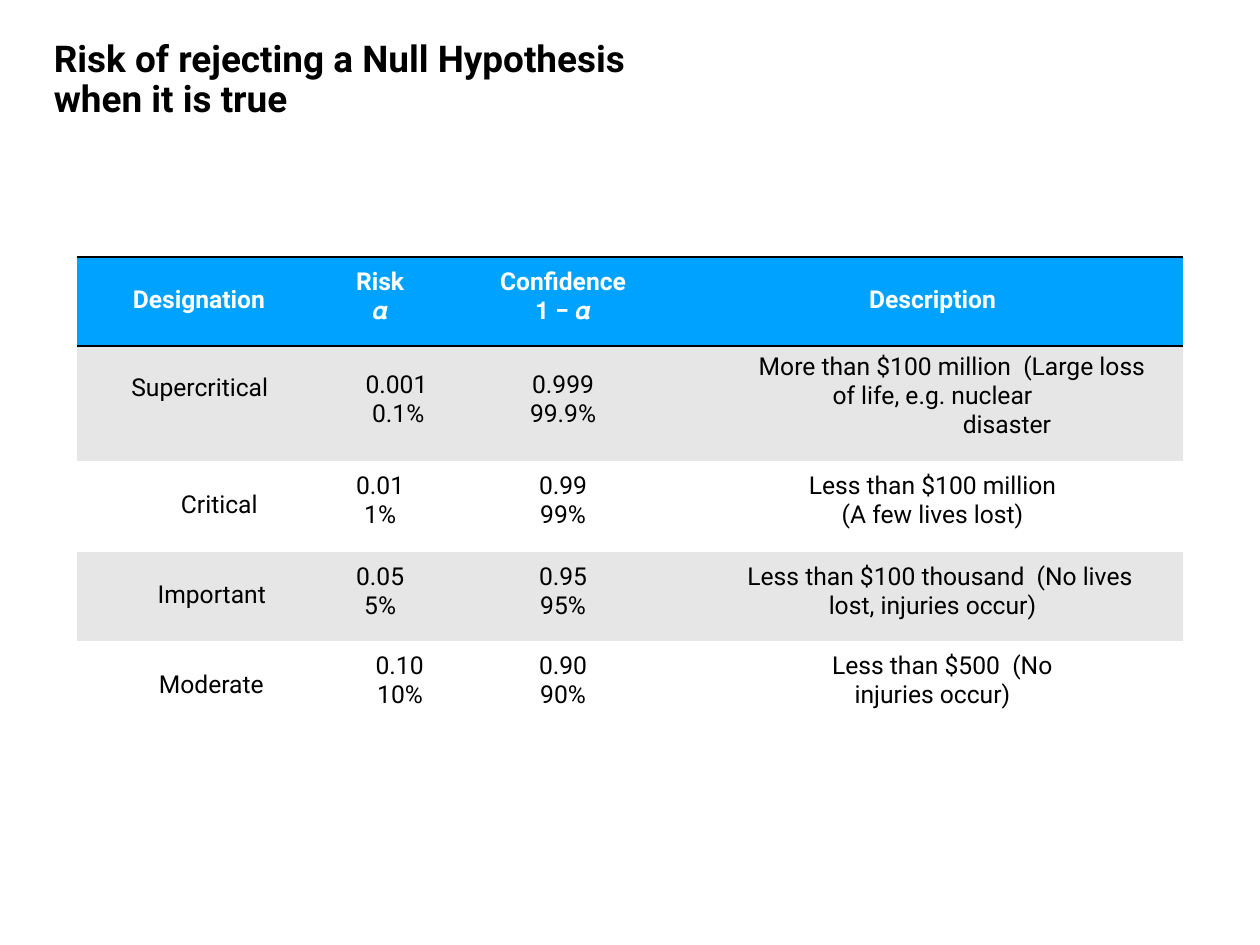
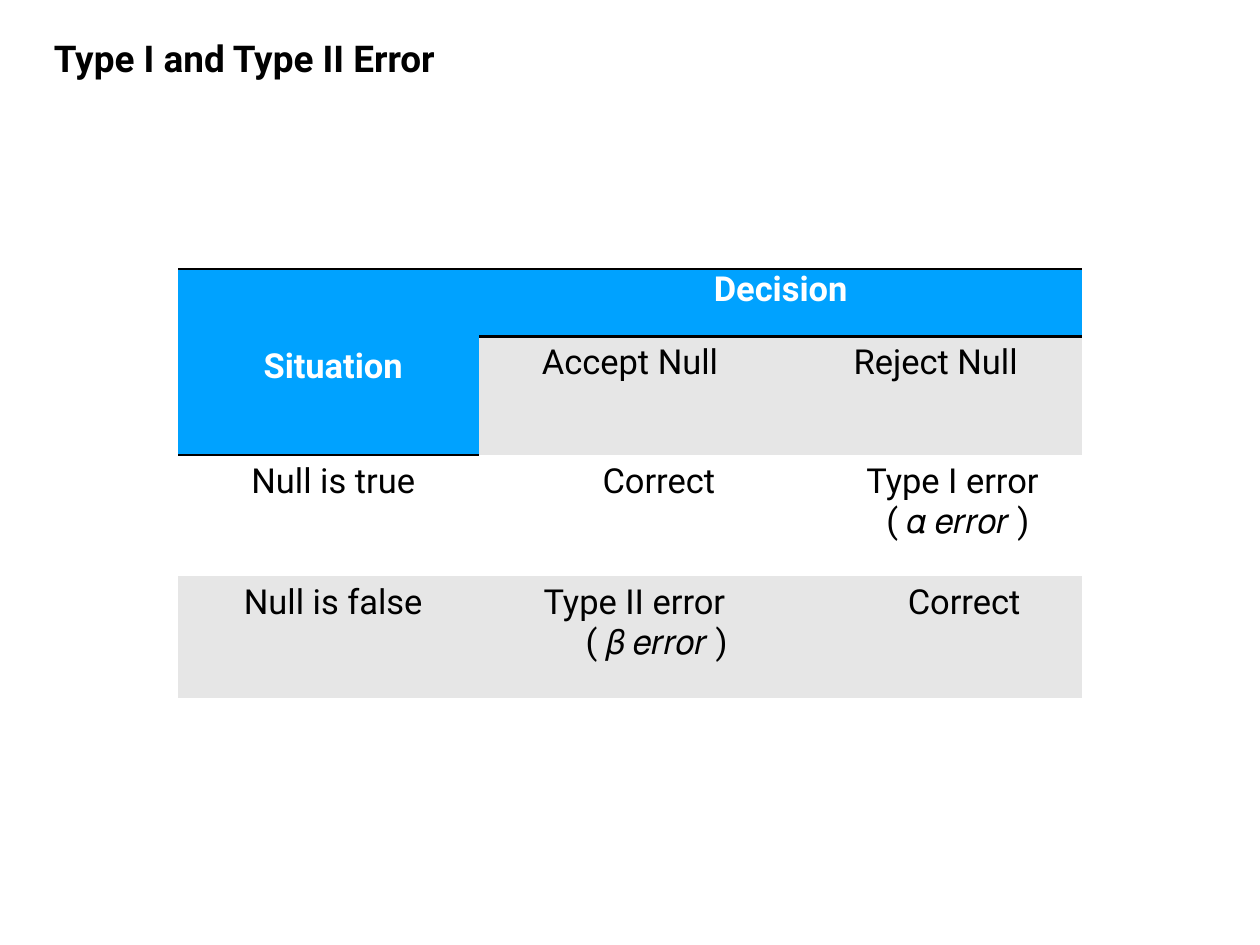
from dataclasses import dataclass

from lxml import etree
from pptx import Presentation
from pptx.dml.color import RGBColor
from pptx.enum.text import PP_ALIGN
from pptx.oxml.ns import qn
from pptx.util import Inches, Pt

CENTER, LEFT = PP_ALIGN.CENTER, PP_ALIGN.LEFT
FONT = "Roboto"
BLACK, WHITE, BLUE, GREY = "000000", "FFFFFF", "00A2FF", "E6E6E6"
PLAIN_TABLE = "{2D5ABB26-0587-4C30-8999-92F81FD0307C}"


@dataclass
class Line:
    """One paragraph of a cell, with its indents in inches."""
    text: str
    left: float = 0
    right: float = 0
    first: float = 0


def rgb(value):
    return RGBColor.from_string(value)


def style(paragraph, size, color, bold=False, align=LEFT):
    paragraph.alignment = align
    font = paragraph.font
    font.name, font.size, font.bold = FONT, Pt(size), bold
    font.color.rgb = rgb(color)


def add_title(slide, text, height):
    box = slide.shapes.add_textbox(Inches(0.51), Inches(0.41), Inches(7.69), Inches(height))
    box.text_frame.word_wrap = True
    title = box.text_frame.paragraphs[0]
    title.text = text
    title.line_spacing = 0.9
    style(title, 30, BLACK, bold=True)


def add_plain_table(slide, left, top, widths, heights):
    frame = slide.shapes.add_table(
        len(heights), len(widths), Inches(left), Inches(top),
        Inches(sum(widths)), Inches(sum(heights)))
    table = frame.table
    table.first_row = table.horz_banding = False
    frame._element.find(".//" + qn("a:tableStyleId")).text = PLAIN_TABLE
    for column, width in zip(table.columns, widths):
        column.width = Inches(width)
    for row, height in zip(table.rows, heights):
        row.height = Inches(height)
    return table


def rule_above_and_below(cell):
    properties = cell._tc.get_or_add_tcPr()
    for side in ("a:lnB", "a:lnT"):
        line = etree.Element(qn(side), w=str(Pt(2)))
        fill = etree.SubElement(line, qn("a:solidFill"))
        etree.SubElement(fill, qn("a:srgbClr"), val=BLACK)
        properties.insert(0, line)


def fill_cell(cell, lines, fill, size, top=0, header=False):
    cell.fill.solid()
    cell.fill.fore_color.rgb = rgb(fill)
    cell.margin_left = cell.margin_right = cell.margin_bottom = 0
    cell.margin_top = Inches(top)
    frame = cell.text_frame
    for index, line in enumerate(lines):
        paragraph = frame.add_paragraph() if index else frame.paragraphs[0]
        paragraph.text = line.text
        style(paragraph, size, WHITE if header else BLACK, header, CENTER)
        indents = {"marL": line.left, "marR": line.right, "indent": line.first}
        for name, inches in indents.items():
            paragraph._p.get_or_add_pPr().set(name, str(Inches(inches)))
    if header:
        rule_above_and_below(cell)


# Each row: designation, risk, confidence and description, as (top margin, lines)
RISK_ROWS = [
    [(0.33, [Line("Designation", right=0.15)]),
     (0.12, [Line("Risk"), Line("𝜶")]),
     (0.12, [Line("Confidence"), Line("𝟏 − 𝜶")]),
     (0.33, [Line("Description")])],
    [(0.31, [Line("Supercritical", right=0.13)]),
     (0.28, [Line("0.001", 0.37), Line("0.1%", 0.41)]),
     (0.28, [Line("0.999"), Line("99.9%")]),
     (0.07, [Line("More than $100 million  (Large loss of life, e.g. nuclear",
                  0.35, 0.35, 0.44),
             Line("disaster", 1.68)])],
    [(0.33, [Line("Critical", 0.31)]),
     (0.12, [Line("0.01"), Line("1%")]),
     (0.12, [Line("0.99"), Line("99%")]),
     (0.12, [Line("Less than $100 million"), Line("(A few lives lost)")])],
    [(0.33, [Line("Important", 0.14)]),
     (0.12, [Line("0.05"), Line("5%")]),
     (0.12, [Line("0.95"), Line("95%")]),
     (0.12, [Line("Less than $100 thousand  (No lives lost, injuries occur)",
                  0.5, 0.5, 0.17)])],
    [(0.33, [Line("Moderate", 0.13)]),
     (0.12, [Line("0.10", 0.44), Line("10%", 0.45)]),
     (0.12, [Line("0.90"), Line("90%")]),
     (0.12, [Line("Less than $500  (No injuries occur)", 1.05, 1.05, 0.22)])],
]

# Rows under the "Decision" heading; the first has no situation of its own
ERROR_ROWS = [
    [None, [Line("Accept Null")], [Line("Reject Null", 0.1)]],
    [[Line("Null is true", 0.1)],
     [Line("Correct", 0.65)],
     [Line("Type I error", 0.48), Line("( 𝛼 𝑒𝑟𝑟𝑜𝑟 )", 0.6)]],
    [[Line("Null is false", 0.1)],
     [Line("Type II error", 0.1), Line("( 𝛽 𝑒𝑟𝑟𝑜𝑟 )", 0.6)],
     [Line("Correct", 0.74)]],
]


def add_risk_table(slide, left, top):
    table = add_plain_table(slide, left, top, [0.2, 2.5, 1.44, 2.69, 5.65],
                            [1.01, 1.3, 1.02, 1.01, 1.01])
    for r, row in enumerate(RISK_ROWS):
        header = r == 0
        fill = BLUE if header else GREY if r % 2 else WHITE
        # The narrow first column is an empty margin
        for c, (margin, lines) in enumerate([(0, [])] + row):
            fill_cell(table.cell(r, c), lines, fill, 20, margin, header)


def add_error_table(slide, left, top):
    table = add_plain_table(slide, left, top, [3.4] * 3, [0.76, 1.28, 1.37, 1.37])
    # Merged headings
    situation, decision = table.cell(0, 0), table.cell(0, 1)
    situation.merge(table.cell(1, 0))
    decision.merge(table.cell(0, 2))
    fill_cell(situation, [Line("Situation", 0.1)], BLUE, 28, 0.87, True)
    fill_cell(decision, [Line("Decision")], BLUE, 28, header=True)
    # Outcomes
    for r, row in enumerate(ERROR_ROWS, start=1):
        for c, lines in enumerate(row):
            if lines:
                fill_cell(table.cell(r, c), lines, GREY if r % 2 else WHITE, 28, 0.07)


def main():
    deck = Presentation()
    deck.slide_width, deck.slide_height = Inches(14.22), Inches(10.67)
    blank = deck.slide_layouts[6]

    risk = deck.slides.add_slide(blank)
    add_title(risk, "Risk of rejecting a Null Hypothesis when it is true", 1.01)
    add_risk_table(risk, 0.87, 2.9)

    errors = deck.slides.add_slide(blank)
    add_title(errors, "Type I and Type II Error", 0.56)
    add_error_table(errors, 2.01, 3.04)

    deck.save("out.pptx")


if __name__ == "__main__":
    main()
